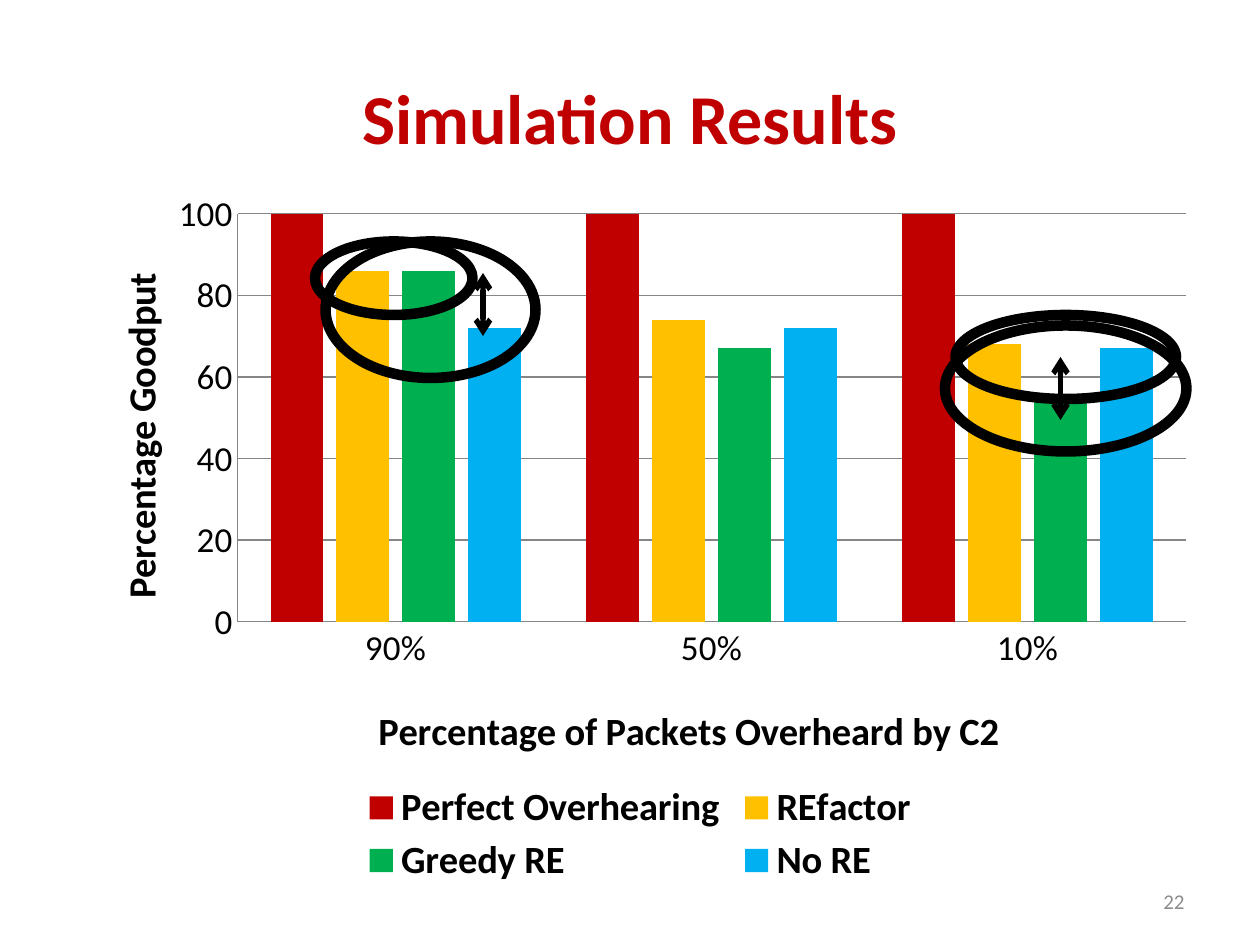
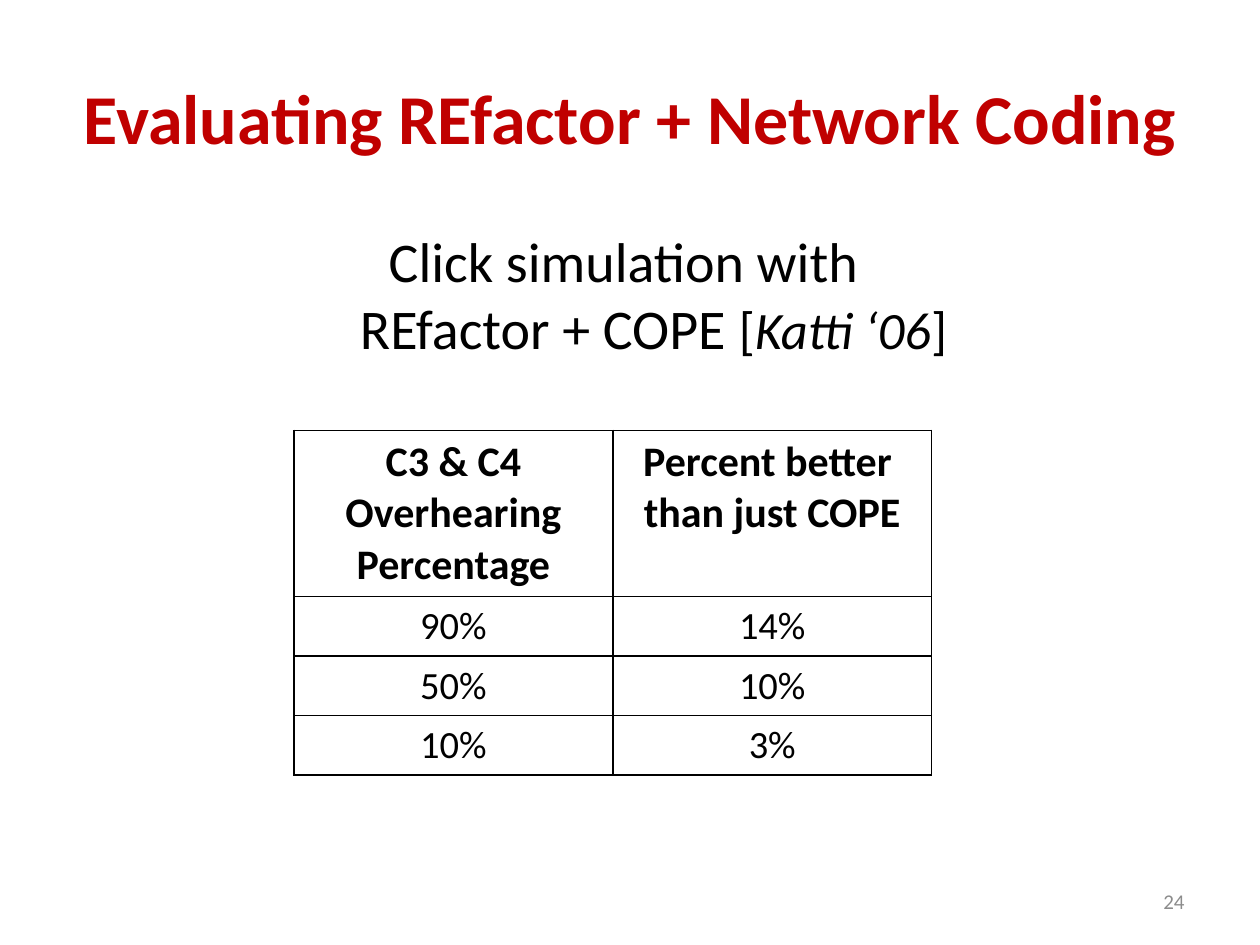
from lxml.etree import SubElement
from pptx import Presentation
from pptx.chart.data import CategoryChartData
from pptx.dml.color import RGBColor
from pptx.enum.chart import XL_CHART_TYPE, XL_LEGEND_POSITION, XL_TICK_MARK
from pptx.enum.shapes import MSO_CONNECTOR, MSO_SHAPE
from pptx.enum.text import MSO_ANCHOR, PP_ALIGN
from pptx.oxml import parse_xml
from pptx.oxml.ns import nsdecls, qn
from pptx.util import Pt

FONT = "Calibri"
RED = RGBColor(0xC0, 0x00, 0x00)
GOLD = RGBColor(0xFF, 0xC0, 0x00)
GREEN = RGBColor(0x00, 0xB0, 0x50)
BLUE = RGBColor(0x00, 0xB0, 0xF0)
BLACK = RGBColor(0x00, 0x00, 0x00)
GRAY = RGBColor(0x8C, 0x8C, 0x8C)
GRID = RGBColor(0x86, 0x86, 0x86)


def style(font, size, color=BLACK, bold=False, italic=False):
    formats = {"name": FONT, "size": Pt(size), "bold": bold, "italic": italic}
    for name, value in formats.items():
        setattr(font, name, value)
    font.color.rgb = color


def place(element, index, **layout):
    for old in element.findall(qn("c:layout")):
        element.remove(old)
    node = parse_xml(f'<c:layout {nsdecls("c")}><c:manualLayout/></c:layout>')
    for name, value in layout.items():
        SubElement(node[0], qn(f"c:{name}")).set("val", str(value))
    element.insert(index, node)


deck = Presentation()
deck.slide_width, deck.slide_height = Pt(720), Pt(540)
pages = []
for title, number in [("Simulation Results", "22"), ("Evaluating REfactor + Network Coding", "24")]:
    page = deck.slides.add_slide(deck.slide_layouts[6])
    pages.append(page)
    for text, bounds, align, size, color, bold in [
        (title, (36, 21.6, 648, 90), PP_ALIGN.CENTER, 40, RED, True),
        (number, (516, 500.4, 168, 28.8), PP_ALIGN.RIGHT, 12, GRAY, False),
    ]:
        box = page.shapes.add_textbox(*map(Pt, bounds))
        box.text_frame.word_wrap = True
        box.text_frame.vertical_anchor = MSO_ANCHOR.MIDDLE
        para = box.text_frame.paragraphs[0]
        para.alignment = align
        span = para.add_run()
        span.text = text
        style(span.font, size, color, bold)
results_page, coding_page = pages

goodput = CategoryChartData()
goodput.categories = [0.9, 0.5, 0.1]
goodput.categories.number_format = "0%"
schemes = [
    ("Perfect Overhearing", (100, 100, 100), RED),
    ("REfactor", (86, 74, 68), GOLD),
    ("Greedy RE", (86, 67, 55), GREEN),
    ("No RE", (72, 72, 67), BLUE),
]
for name, values, color in schemes:
    goodput.add_series(name, values)
chart = results_page.shapes.add_chart(
    XL_CHART_TYPE.COLUMN_CLUSTERED, Pt(41.8), Pt(102.2), Pt(648), Pt(408.2), goodput
).chart
style(chart.font, 10)
chart.has_title = False
plot = chart.plots[0]
plot.vary_by_categories = False
plot.gap_width, plot.overlap = 125, -25
for series, (name, values, color) in zip(plot.series, schemes):
    series.format.fill.solid()
    series.format.fill.fore_color.rgb = color
place(chart._chartSpace.chart.plotArea, 0, layoutTarget="inner", xMode="edge", yMode="edge",
      x=0.145, y=0.049, w=0.836, h=0.571)

for axis, title, x, y in [
    (chart.category_axis, "Percentage of Packets Overheard by C2", 0.263, 0.725),
    (chart.value_axis, "Percentage Goodput", 0.03, 0.122),
]:
    axis.major_tick_mark = XL_TICK_MARK.NONE
    axis.minor_tick_mark = XL_TICK_MARK.NONE
    axis.format.line.color.rgb = GRID
    style(axis.tick_labels.font, 20)
    frame = axis.axis_title.text_frame
    frame.text = title
    style(frame.paragraphs[0].runs[0].font, 22, bold=True)
    place(axis.axis_title._element, 1, xMode="edge", yMode="edge", x=x, y=y)
chart.category_axis.tick_labels.number_format = "0%"
chart.category_axis.tick_labels.number_format_is_linked = False
scale = {"minimum_scale": 0, "maximum_scale": 100, "major_unit": 20, "has_major_gridlines": True}
for name, value in scale.items():
    setattr(chart.value_axis, name, value)
chart.value_axis.major_gridlines.format.line.color.rgb = GRID

chart.has_legend = True
chart.legend.position = XL_LEGEND_POSITION.BOTTOM
chart.legend.include_in_layout = False
style(chart.legend.font, 22, bold=True)
place(chart.legend._element, 1, xMode="edge", yMode="edge", x=0.25, y=0.84, w=0.5, h=0.155)

for bounds, arrow in [
    ((546, 180, 126, 48), None),
    ((186, 138, 120, 78), (276, 192, 156)),
    ((540, 186, 138, 72), (606, 240, 204)),
    ((180, 138, 90, 42), None),
]:
    ring = results_page.shapes.add_shape(MSO_SHAPE.OVAL, *map(Pt, bounds))
    ring.shadow.inherit = False
    ring.fill.background()
    ring.line.color.rgb = BLACK
    ring.line.width = Pt(6)
    if arrow:
        x, bottom, top = map(Pt, arrow)
        gap = results_page.shapes.add_connector(MSO_CONNECTOR.STRAIGHT, x, bottom, x, top)
        gap.line.color.rgb = BLACK
        gap.line.width = Pt(3)
        for end in ("a:headEnd", "a:tailEnd"):
            SubElement(gap.line._ln, qn(end)).set("type", "arrow")
        SubElement(gap._element.spPr, qn("a:effectLst"))

box = coding_page.shapes.add_textbox(Pt(36), Pt(126), Pt(648), Pt(356.4))
box.text_frame.word_wrap = True
para = box.text_frame.paragraphs[0]
para.alignment = PP_ALIGN.CENTER
for name, value in {"marL": Pt(27), "indent": Pt(-27)}.items():
    para._p.get_or_add_pPr().set(name, str(value))
for text, size, italic in [
    ("Click simulation with ", 32, False),
    ("REfactor + COPE ", 32, False),
    ("[", 30, False),
    ("Katti ‘06", 30, True),
    ("]", 30, False),
]:
    if text.startswith("REfactor"):
        para.add_line_break()
    span = para.add_run()
    span.text = text
    style(span.font, size, italic=italic)

rows = [
    ("C3 & C4 Overhearing\nPercentage", "Percent better \nthan just COPE"),
    ("90%", "14%"),
    ("50%", "10%"),
    ("10%", "3%"),
]
table = coding_page.shapes.add_table(4, 2, Pt(168), Pt(246), Pt(364.4), Pt(197)).table
table.first_row = table.horz_banding = False
for column in table.columns:
    column.width = Pt(182.2)
for index, texts in enumerate(rows):
    header = index == 0
    table.rows[index].height = Pt(95 if header else 34)
    for cell, text in zip(table.rows[index].cells, texts):
        cell.fill.background()
        properties = cell._tc.get_or_add_tcPr()
        for position, side in enumerate(("lnL", "lnR", "lnT", "lnB")):
            properties.insert(position, parse_xml(
                f'<a:{side} {nsdecls("a")} w="{Pt(1)}"><a:solidFill>'
                f'<a:srgbClr val="{BLACK}"/></a:solidFill></a:{side}>'))
        para = cell.text_frame.paragraphs[0]
        para.text = text
        para.alignment = PP_ALIGN.CENTER
        for span in para.runs:
            style(span.font, 24 if header else 22, bold=header)

deck.save("out.pptx")
